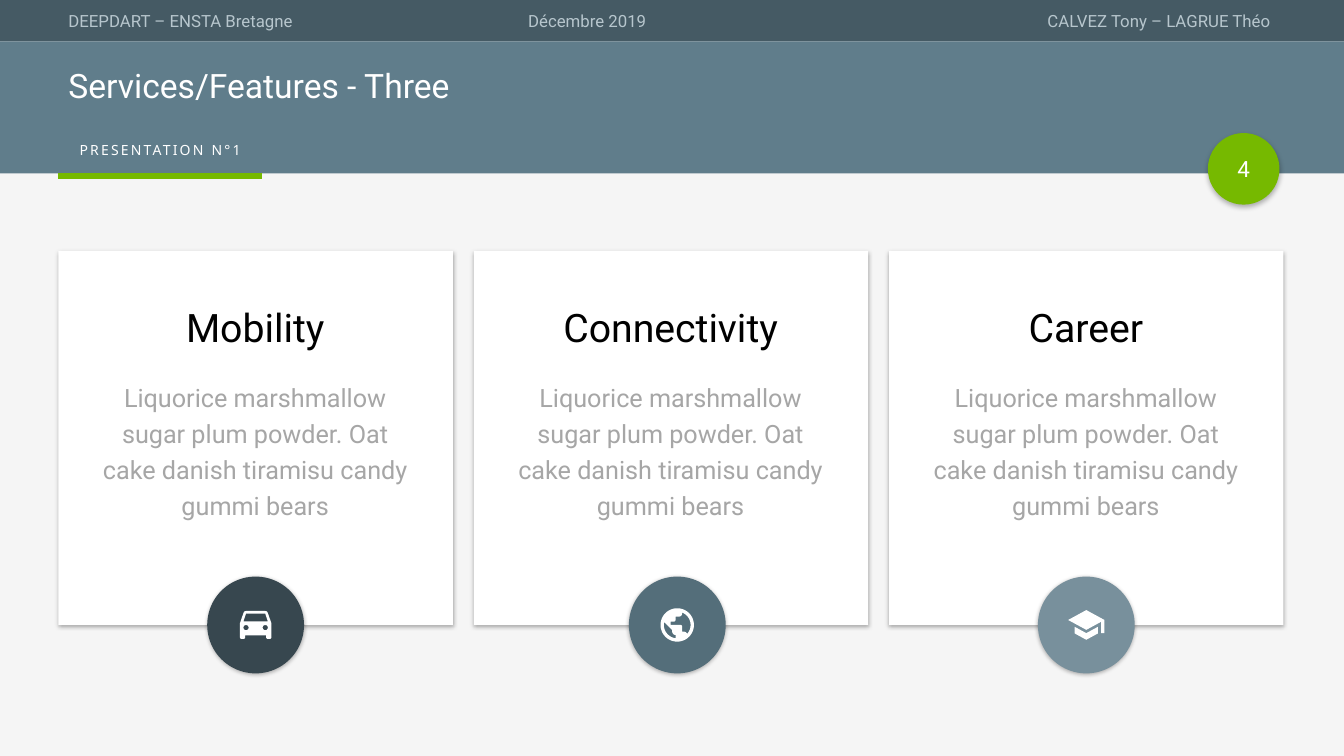
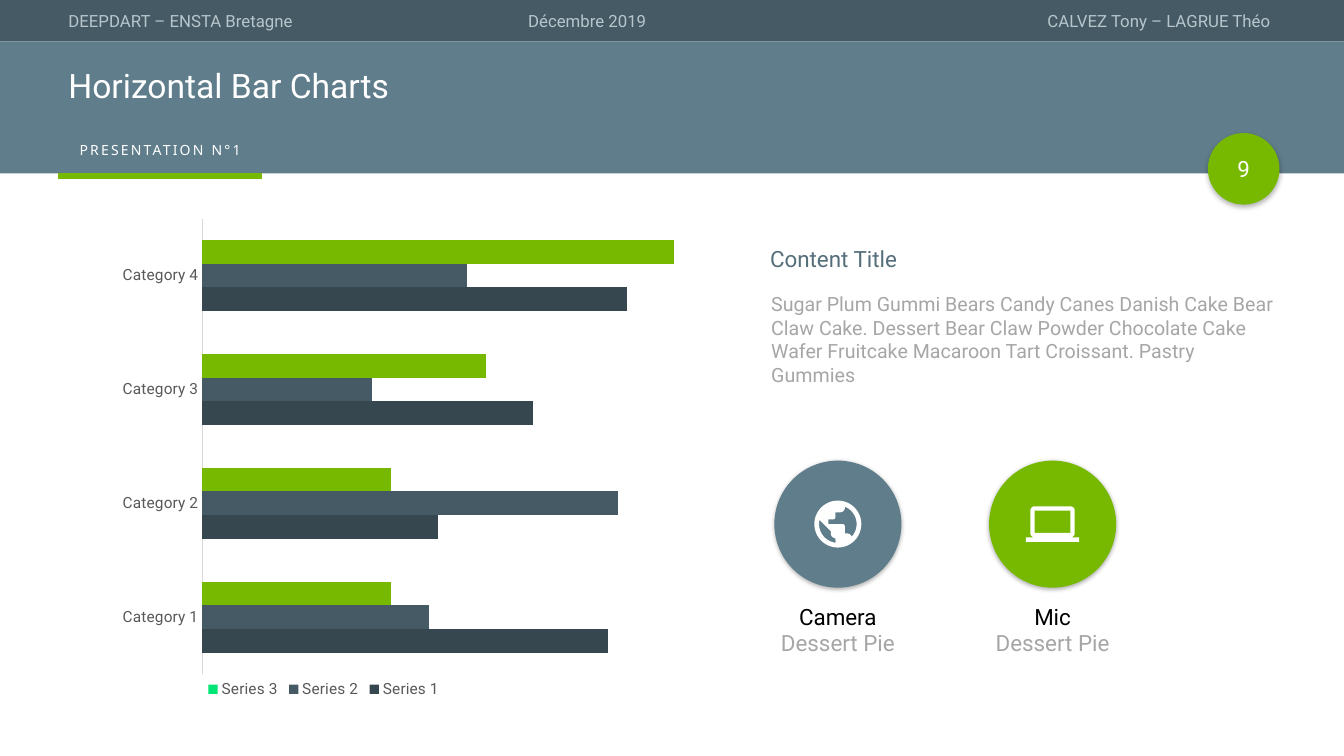
from dataclasses import dataclass
from math import cos, radians, sin

from lxml.etree import SubElement
from pptx import Presentation
from pptx.chart.data import CategoryChartData
from pptx.dml.color import RGBColor
from pptx.enum.chart import XL_CHART_TYPE, XL_LEGEND_POSITION, XL_TICK_MARK
from pptx.enum.shapes import MSO_CONNECTOR, MSO_SHAPE
from pptx.enum.text import MSO_ANCHOR, PP_ALIGN
from pptx.oxml import parse_xml
from pptx.oxml.ns import nsdecls, qn
from pptx.util import Inches, Pt


@dataclass(frozen=True)
class Theme:
    font: str = "Roboto"
    tab_font: str = "Noto Sans"
    bar: str = "455A64"
    band: str = "607D8B"
    accent: str = "76B900"
    dark: str = "37474F"
    slate: str = "546E7A"
    mist: str = "78909C"
    legend_green: str = "00E676"
    paper: str = "F5F5F5"
    white: str = "FFFFFF"
    black: str = "000000"
    muted: str = "A6A6A6"
    bar_text: str = "B7C6CD"
    axis_text: str = "595959"
    axis_line: str = "D9D9D9"
    tab: int = 10
    label: int = 11
    small: int = 12
    body: int = 14
    lead: int = 16
    card_body: int = 18
    title: int = 24
    card_title: int = 28


T = Theme()


@dataclass(frozen=True)
class Box:
    x: float
    y: float
    w: float
    h: float

    def at(self, left, top, width, height):
        return Box(self.x + self.w * left / 100, self.y + self.h * top / 100,
                   self.w * width / 100, self.h * height / 100)

    def columns(self, n, gap):
        width = (100 - gap * (n - 1)) / n
        return [self.at(i * (width + gap), 0, width, 100) for i in range(n)]

    def emu(self):
        return [Inches(v) for v in (self.x, self.y, self.w, self.h)]


PAGE = Box(0, 0, 13.33, 7.5)


def rgb(color):
    return RGBColor.from_string(color)


def arc(cx, cy, r, start=0, end=360, steps=16):
    angles = [radians(start + (end - start) * i / steps) for i in range(steps + 1)]
    return [(cx + r * cos(a), cy + r * sin(a)) for a in angles]


CAR = [
    arc(17.5, 6.5, 1.5, -20, -90, 4) + arc(6.5, 6.5, 1.5, -90, -160, 4)
    + [(3, 12)] + arc(4, 20, 1, 180, 90, 4) + arc(5, 20, 1, 90, 0, 4)
    + [(6, 19), (18, 19)] + arc(19, 20, 1, 180, 90, 4)
    + arc(20, 20, 1, 90, 0, 4) + [(21, 12)],
    arc(6.5, 14.5, 1.5), arc(17.5, 14.5, 1.5),
    [(5, 11), (6.5, 6.5), (17.5, 6.5), (19, 11)],
]
GLOBE = [
    arc(12, 12, 10, steps=48),
    arc(12, 12, 8, 97, 193) + [(9, 15)] + arc(11, 16, 2, 180, 90, 6),
    arc(16, 18, 2, -18, -90, 6) + [(15, 16)] + arc(14, 13, 1, 0, -90, 4)
    + [(8, 12), (8, 10)] + arc(10, 9, 1, 90, 0, 4) + [(11, 7)]
    + arc(13, 5, 2, 90, 0, 6) + arc(12, 12, 8, -68, 42),
]
SCHOOL = [
    [(5, 13.18), (5, 17.18), (12, 21), (19, 17.18), (19, 13.18), (12, 17)],
    [(12, 3), (1, 9), (12, 15), (21, 10.09), (21, 17), (23, 17), (23, 9)],
]
LAPTOP = [
    arc(20, 16, 2, 90, 0, 6) + arc(20, 6, 2, 0, -90, 6)
    + arc(4, 6, 2, -90, -180, 6) + arc(4, 16, 2, 180, 90, 6)
    + [(0, 18), (0, 20), (24, 20), (24, 18)],
    [(4, 6), (20, 6), (20, 16), (4, 16)],
]


def add_shape(s, kind, box, color, shadow=None):
    sp = s.shapes.add_shape(kind, *box.emu())
    sp.shadow.inherit = False
    sp.fill.solid()
    sp.fill.fore_color.rgb = rgb(color)
    sp.line.fill.background()
    if shadow:
        blur, dist = shadow
        effects = sp._element.spPr.find(qn("a:effectLst"))
        effects.append(parse_xml(
            f'<a:outerShdw {nsdecls("a")} blurRad="{Pt(blur)}" dist="{Pt(dist)}" '
            f'dir="5400000" algn="t" rotWithShape="0"><a:srgbClr val="{T.black}">'
            '<a:alpha val="30000"/></a:srgbClr></a:outerShdw>'))
    return sp


def write(tf, lines, size, align=PP_ALIGN.LEFT, font=T.font, spacing=None):
    for i, (text, color) in enumerate(lines):
        p = tf.add_paragraph() if i else tf.paragraphs[0]
        p.text = text
        p.alignment = align
        p.font.name = font
        p.font.size = Pt(size)
        p.font.color.rgb = rgb(color)
        if spacing:
            p.line_spacing = spacing


def add_text(s, box, lines, size, anchor=MSO_ANCHOR.TOP, wrap=True, **style):
    sp = s.shapes.add_textbox(*box.emu())
    tf = sp.text_frame
    tf.word_wrap = wrap
    tf.vertical_anchor = anchor
    write(tf, lines, size, **style)
    return sp


def add_icon(s, circle, contours, share):
    points = [pt for contour in contours for pt in contour]
    xs, ys = zip(*points)
    unit = circle.w * share / 100 / (max(xs) - min(xs))
    left = circle.x + circle.w / 2 - unit * (max(xs) + min(xs)) / 2
    top = circle.y + circle.h / 2 - unit * (max(ys) + min(ys)) / 2
    outlines = [[(Inches(left + x * unit), Inches(top + y * unit)) for x, y in contour]
                for contour in contours]
    builder = s.shapes.build_freeform(*outlines[0][0])
    for i, outline in enumerate(outlines):
        if i:
            builder.move_to(*outline[0])
        builder.add_line_segments(outline[1:], close=True)
    sp = builder.convert_to_shape()
    sp.shadow.inherit = False
    sp.fill.solid()
    sp.fill.fore_color.rgb = rgb(T.white)
    sp.line.fill.background()


def add_badge(s, circle, color, icon, share):
    add_shape(s, MSO_SHAPE.OVAL, circle, color, (3, 1))
    add_icon(s, circle, icon, share)


def add_header(s, page, title, number):
    bar = page.at(0, 0, 100, 5.47)
    add_shape(s, MSO_SHAPE.RECTANGLE, bar, T.bar)
    add_shape(s, MSO_SHAPE.RECTANGLE, page.at(0, 5.47, 100, 17.47), T.band)
    for left, text, align in ((4.35, "DEEPDART – ENSTA Bretagne", PP_ALIGN.LEFT),
                              (38.56, "Décembre 2019", PP_ALIGN.LEFT),
                              (53.56, "CALVEZ Tony – LAGRUE Théo", PP_ALIGN.RIGHT)):
        add_text(s, bar.at(left, 0, 41.7, 100), [(text, T.bar_text)], T.small,
                 MSO_ANCHOR.MIDDLE, align=align)
    add_text(s, page.at(4.35, 8.4, 92.1, 6.27), [(title, T.white)], T.title,
             MSO_ANCHOR.MIDDLE, spacing=0.9)

    tab = page.at(4.35, 18, 15.12, 3.6)
    sp = add_text(s, tab, [("PRESENTATION N°1", T.white)], T.tab,
                  align=PP_ALIGN.CENTER, font=T.tab_font)
    sp.text_frame.paragraphs[0].runs[0]._r.get_or_add_rPr().set("spc", "160")
    x, y, w, h = tab.at(0, 148, 100, 0).emu()
    line = s.shapes.add_connector(MSO_CONNECTOR.STRAIGHT, x, y, x + w, y)
    line.line.color.rgb = rgb(T.accent)
    line.line.width = Pt(4.5)
    SubElement(line._element.spPr, qn("a:effectLst"))

    disc = add_shape(s, MSO_SHAPE.OVAL, page.at(89.87, 17.6, 5.33, 9.47), T.accent, (4, 2))
    tf = disc.text_frame
    tf.margin_left = tf.margin_right = 0
    tf.vertical_anchor = MSO_ANCHOR.MIDDLE
    write(tf, [(str(number), T.white)], T.lead, PP_ALIGN.CENTER)


def add_slide(prs, title, number, background):
    s = prs.slides.add_slide(prs.slide_layouts[6])
    s.background.fill.solid()
    s.background.fill.fore_color.rgb = rgb(background)
    add_header(s, PAGE, title, number)
    return s


def add_card(s, box, title, text, color, icon, share, shift):
    add_shape(s, MSO_SHAPE.RECTANGLE, box, T.white, (3, 1))
    style = dict(align=PP_ALIGN.CENTER, spacing=1.2)
    add_text(s, box.at(6.9, 10.24, 86, 18.06), [(title, T.black)], T.card_title, **style)
    add_text(s, box.at(6.9, 32.08, 86, 42.05), [(text, T.muted)], T.card_body, **style)
    add_badge(s, box.at(37.72 + shift, 87.06, 24.55, 25.88), color, icon, share)


def features_slide(prs):
    s = add_slide(prs, "Services/Features - Three", 4, T.paper)
    text = "Liquorice marshmallow sugar plum powder. Oat cake danish tiramisu candy gummi bears"
    cards = (("Mobility", text, T.dark, CAR, 32.5, 0),
             ("Connectivity", text, T.slate, GLOBE, 34.5, 1.6),
             ("Career", text, T.mist, SCHOOL, 37.5, 0))
    boxes = PAGE.at(4.35, 33.2, 91.15, 49.47).columns(3, 1.71)
    for box, card in zip(boxes, cards):
        add_card(s, box, *card)


def manual_layout(x, y, w, h, target=""):
    modes = '<c:xMode val="edge"/><c:yMode val="edge"/>'
    values = "".join(f'<c:{k} val="{v}"/>' for k, v in zip("xywh", (x, y, w, h)))
    return parse_xml(f'<c:layout {nsdecls("c")}><c:manualLayout>{target}{modes}{values}'
                     "</c:manualLayout></c:layout>")


def chart_font(font, size, color):
    font.name = T.font
    font.size = Pt(size)
    font.color.rgb = rgb(color)


def add_bars(s, box):
    data = CategoryChartData()
    data.categories = [f"Category {i}" for i in range(1, 5)]
    rows = ([86, 50, 70, 90], [48, 88, 36, 56], [40, 40, 60, 100])
    for i, values in enumerate(rows, 1):
        data.add_series(f"Series {i}", values)
    chart = s.shapes.add_chart(XL_CHART_TYPE.BAR_CLUSTERED, *box.emu(), data).chart
    chart_font(chart.font, T.label, T.axis_text)
    chart.has_title = False
    plot = chart.plots[0]
    plot.gap_width = 182
    plot.overlap = 0
    plot.vary_by_categories = False
    for series, color in zip(plot.series, (T.dark, T.bar, T.legend_green)):
        series.format.fill.solid()
        series.format.fill.fore_color.rgb = rgb(color)
    for i in range(4):
        fill = plot.series[2].points[i].format.fill
        fill.solid()
        fill.fore_color.rgb = rgb(T.accent)

    cats, vals = chart.category_axis, chart.value_axis
    cats.major_tick_mark = cats.minor_tick_mark = XL_TICK_MARK.NONE
    cats.format.line.color.rgb = rgb(T.axis_line)
    cats.format.line.width = Pt(0.75)
    chart_font(cats.tick_labels.font, T.label, T.axis_text)
    vals.minimum_scale, vals.maximum_scale = 0, 120
    vals.has_major_gridlines = False
    vals.visible = False

    chart.has_legend = True
    legend = chart.legend
    legend.position = XL_LEGEND_POSITION.BOTTOM
    legend.include_in_layout = False
    chart_font(legend.font, T.label, T.axis_text)
    legend._element.insert(1, manual_layout(0.14, 0.92, 0.36, 0.06))
    area = chart._chartSpace.chart.plotArea
    for old in area.findall(qn("c:layout")):
        area.remove(old)
    area.insert(0, manual_layout(0.14, 0.02, 0.84, 0.9, '<c:layoutTarget val="inner"/>'))


def add_captioned_badge(s, box, name, color, icon, share):
    add_badge(s, box.at(14.2, 0, 71.6, 63), color, icon, share)
    add_text(s, box.at(0, 68, 100, 32), [(name, T.black), ("Dessert Pie", T.muted)],
             T.lead, align=PP_ALIGN.CENTER)


def chart_slide(prs):
    s = add_slide(prs, "Horizontal Bar Charts", 9, T.white)
    add_bars(s, PAGE.at(8.03, 27.6, 50.19, 66.93))
    add_text(s, PAGE.at(56.56, 31.73, 11.03, 4.93), [("Content Title", T.slate)],
             T.lead, wrap=False)
    add_text(s, PAGE.at(56.64, 38, 38.93, 13.87), [(
        "Sugar Plum Gummi Bears Candy Canes Danish Cake Bear Claw Cake. Dessert Bear Claw "
        "Powder Chocolate Cake Wafer Fruitcake Macaroon Tart Croissant. Pastry Gummies",
        T.muted)], T.body)
    badges = (("Camera", T.band, GLOBE, 37), ("Mic", T.accent, LAPTOP, 42))
    for box, badge in zip(PAGE.at(55.74, 60.93, 29.18, 26.67).columns(2, 9.51), badges):
        add_captioned_badge(s, box, *badge)


def main():
    prs = Presentation()
    prs.slide_width, prs.slide_height = Inches(PAGE.w), Inches(PAGE.h)
    features_slide(prs)
    chart_slide(prs)
    prs.save("out.pptx")


if __name__ == "__main__":
    main()
